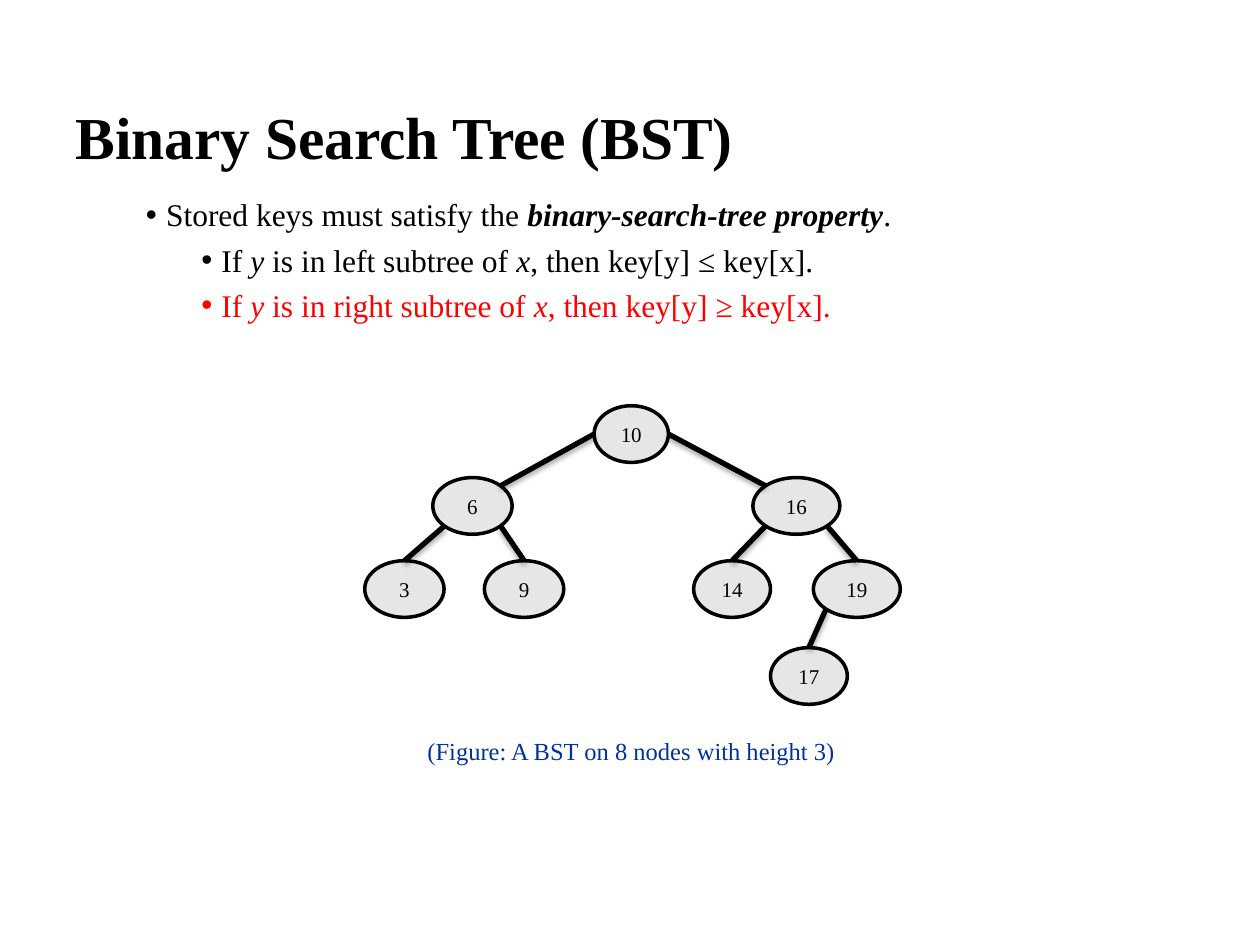
from math import sqrt

from lxml import etree
from pptx import Presentation
from pptx.dml.color import RGBColor
from pptx.enum.shapes import MSO_CONNECTOR as CONNECTOR, MSO_SHAPE as SHAPE
from pptx.enum.text import MSO_ANCHOR as ANCHOR, PP_ALIGN as ALIGN
from pptx.oxml import parse_xml
from pptx.oxml.ns import nsdecls, qn
from pptx.util import Inches, Pt

COLORS = {"black": "000000", "red": "FF0000", "caption": "003399", "node": "E6E6E6"}
FONT = "Times New Roman"


def add_run(paragraph, text, size, color="black", bold=False, italic=False):
    run = paragraph.add_run()
    run.text = text
    run.font.name = FONT
    run.font.size = Pt(size)
    run.font.bold = bold
    run.font.italic = italic
    run.font.color.rgb = RGBColor.from_string(COLORS[color])


prs = Presentation()
prs.slide_width, prs.slide_height = Inches(10), Inches(7.5)
slide = prs.slides.add_slide(prs.slide_layouts[5])

# Title
title = slide.shapes.title
title.left, title.top = Inches(0.5), Inches(0.68)
title.width, title.height = Inches(9), Inches(0.79)
title.text_frame.vertical_anchor = ANCHOR.MIDDLE
heading = title.text_frame.paragraphs[0]
heading.alignment = ALIGN.LEFT
add_run(heading, "Binary Search Tree (BST)", 34, bold=True)

# Property bullets: level, colour, runs of (text, bold, italic)
rules = [
    (0, "black", [("Stored keys must satisfy the ", False, False),
                  ("binary-search-tree property", True, True), (".", False, False)]),
    (1, "black", [("If ", False, False), ("y ", False, True),
                  ("is in left subtree of ", False, False), ("x", False, True),
                  (", then key[y] ≤ key[x].", False, False)]),
    (1, "red", [("If ", False, False), ("y ", False, True),
                ("is in right subtree of ", False, False), ("x", False, True),
                (", then key[y] ≥ key[x].", False, False)]),
]
body = slide.shapes.add_textbox(Inches(1.06), Inches(1.5), Inches(7.87), Inches(5.01)).text_frame
body.word_wrap = True
hanging = Inches(0.16)
for i, (level, color, runs) in enumerate(rules):
    paragraph = body.add_paragraph() if i else body.paragraphs[0]
    paragraph.level = level
    paragraph.space_before = Pt(4.3 if i else 0)
    props = paragraph._p.get_or_add_pPr()
    props.set("marL", str(Inches(0.44) * level + hanging))
    props.set("indent", str(-hanging))
    etree.SubElement(props, qn("a:buFont"), typeface="Arial")
    etree.SubElement(props, qn("a:buChar"), char="•")
    for text, bold, italic in runs:
        add_run(paragraph, text, 18, color, bold, italic)

# Tree nodes: key -> centre x, depth, width
nodes = {
    10: (5.01, 0, 0.59),
    6: (3.75, 1, 0.63), 16: (6.32, 1, 0.69),
    3: (3.21, 2, 0.63), 9: (4.16, 2, 0.63), 14: (5.81, 2, 0.61), 19: (6.8, 2, 0.69),
    17: (6.42, 3, 0.61),
}
level_tops = [3.22, 3.79, 4.45, 5.14]
node_height = 0.45
tree = slide.shapes.add_group_shape().shapes
for key, (center, depth, width) in nodes.items():
    node = tree.add_shape(SHAPE.OVAL, Inches(center - width / 2), Inches(level_tops[depth]),
                          Inches(width), Inches(node_height))
    node.shadow.inherit = False
    node.fill.solid()
    node.fill.fore_color.rgb = RGBColor.from_string(COLORS["node"])
    node.line.color.rgb = RGBColor.from_string(COLORS["black"])
    node.line.width = Pt(2)
    label = node.text_frame
    label.margin_left = label.margin_right = 0
    label.vertical_anchor = ANCHOR.MIDDLE
    label.paragraphs[0].alignment = ALIGN.CENTER
    add_run(label.paragraphs[0], str(key), 12)


def rim_point(key, across, down):
    """Point on a node's rim, in half widths and half heights from its centre."""
    center, depth, width = nodes[key]
    middle = level_tops[depth] + node_height / 2
    return Inches(center + across * width / 2), Inches(middle + down * node_height / 2)


# Tree edges: the root leaves from its sides, other parents from their lower corners
diagonal = sqrt(0.5)
edges = [(10, 6), (6, 3), (16, 14), (19, 17), (6, 9), (10, 16), (16, 19)]
for parent, child in edges:
    side = -1 if child < parent else 1
    if parent == 10:
        start = rim_point(parent, side, 0)
        end = rim_point(child, -side * diagonal, -diagonal)
    else:
        start = rim_point(parent, side * diagonal, diagonal)
        end = rim_point(child, 0, -1)
    edge = tree.add_connector(CONNECTOR.STRAIGHT, *start, *end)
    edge.line.color.rgb = RGBColor.from_string(COLORS["black"])
    edge.line.width = Pt(3)
    edge._element.spPr.append(parse_xml(
        f'<a:effectLst {nsdecls("a")}><a:outerShdw blurRad="{Pt(3.1)}" dist="{Pt(1.8)}" '
        f'dir="5400000" rotWithShape="0"><a:srgbClr val="{COLORS["black"]}">'
        '<a:alpha val="35000"/></a:srgbClr></a:outerShdw></a:effectLst>'))

# Caption
caption = slide.shapes.add_textbox(Inches(2.49), Inches(5.79), Inches(5.04), Inches(0.34)).text_frame
caption.word_wrap = True
caption.paragraphs[0].alignment = ALIGN.CENTER
add_run(caption.paragraphs[0], "(Figure: A BST on 8 nodes with height 3)", 14, "caption")

prs.save("out.pptx")
